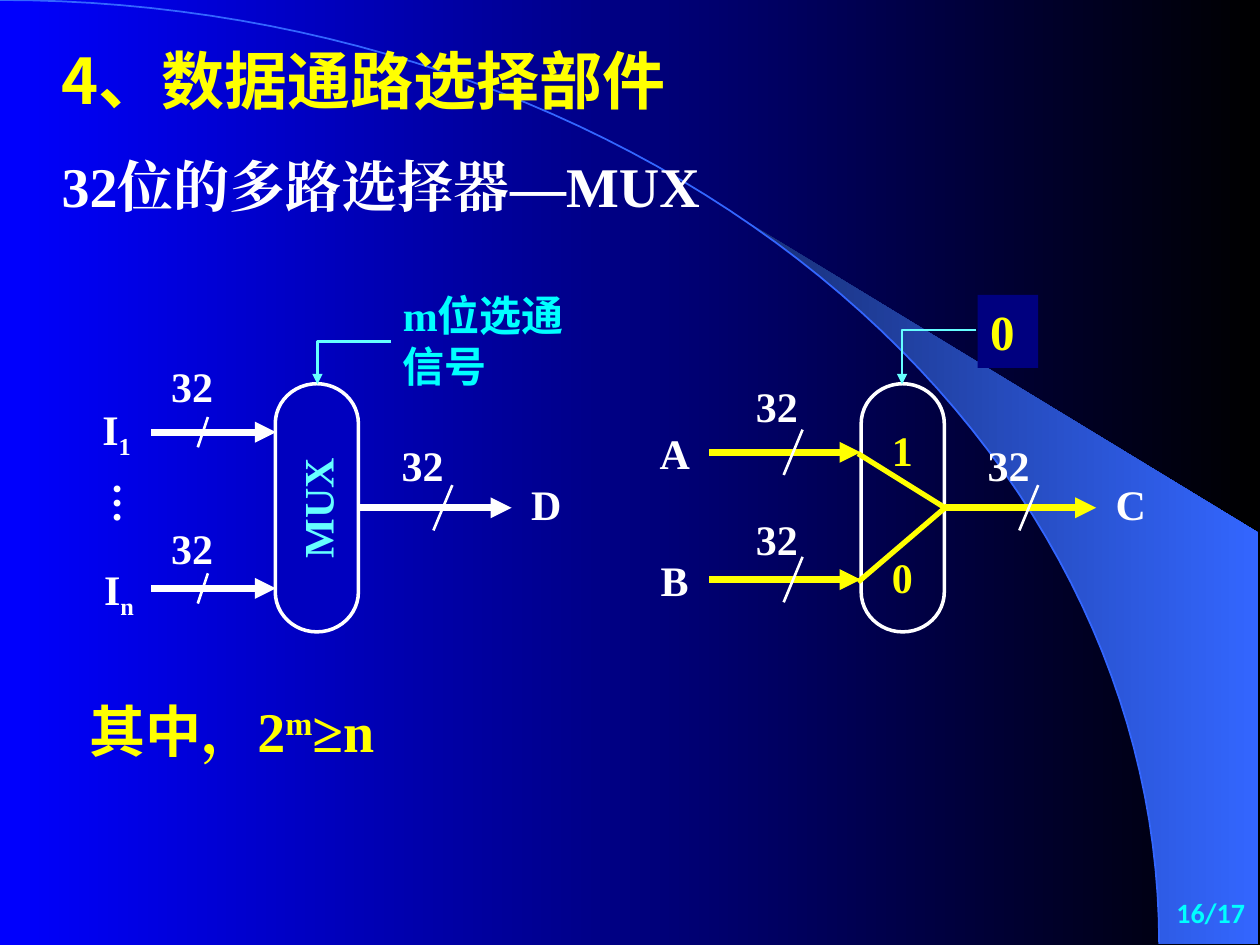
from math import asin, cos, pi, sin

from lxml.etree import SubElement
from pptx import Presentation
from pptx.dml.color import RGBColor
from pptx.enum.shapes import MSO_CONNECTOR, MSO_SHAPE
from pptx.enum.text import MSO_ANCHOR, MSO_AUTO_SIZE, PP_ALIGN
from pptx.oxml.ns import qn
from pptx.util import Inches, Pt

COLORS = {
    "blue": "0000FF", "black": "000000", "navy": "182F76", "sky": "3366FF",
    "body": "0000BF", "badge": "00007F", "white": "FFFFFF",
    "yellow": "FFFF00", "cyan": "00FFFF", "aqua": "66FFFF",
}
RGB = {name: RGBColor.from_string(value) for name, value in COLORS.items()}
SERIF, SANS = "Times New Roman", "Noto Sans CJK SC"
LEFT, CENTER, RIGHT = PP_ALIGN.LEFT, PP_ALIGN.CENTER, PP_ALIGN.RIGHT


def write(shape, lines, color="white", size=24, align=CENTER, font=SERIF, gap=0,
          anchor=MSO_ANCHOR.TOP, wrap=True):
    frame = shape.text_frame
    frame_format = {
        "auto_size": MSO_AUTO_SIZE.NONE, "word_wrap": wrap, "vertical_anchor": anchor,
        "margin_left": Inches(0.1), "margin_right": Inches(0.1),
        "margin_top": Inches(0.05), "margin_bottom": Inches(0.05),
    }
    for name, value in frame_format.items():
        setattr(frame, name, value)
    for index, runs in enumerate(lines):
        paragraph = frame.add_paragraph() if index else frame.paragraphs[0]
        paragraph.alignment = align
        paragraph.space_before = Pt(gap if index else 0)
        for text, *options in runs:
            run = paragraph.add_run()
            run.text = text
            typeface = options[0] if options else font
            for name, value in {"name": typeface, "size": Pt(size), "bold": True}.items():
                setattr(run.font, name, value)
            run.font.color.rgb = RGB[color]
            properties = run.font._element
            SubElement(properties, qn("a:ea"), typeface=typeface)
            if len(options) > 1:
                properties.set("baseline", str(options[1] * 1000))


def draw_line(start, end, color, width, arrow=False, bent=False):
    kind = MSO_CONNECTOR.ELBOW if bent else MSO_CONNECTOR.STRAIGHT
    line = shapes.add_connector(kind, *map(Inches, start + end))
    line.line.color.rgb = RGB[color]
    line.line.width = Pt(width)
    properties = line._element.spPr
    if bent:
        properties.find(qn("a:prstGeom")).set("prst", "bentConnector2")
    if arrow:
        SubElement(line.line._get_or_add_ln(), qn("a:tailEnd"), type="triangle")
    SubElement(properties, qn("a:effectLst"))


presentation = Presentation()
presentation.slide_width, presentation.slide_height = Inches(10), Inches(7.5)
slide = presentation.slides.add_slide(presentation.slide_layouts[5])
shapes = slide.shapes

arc_width, arc_height, steps = 9.2, 7.49, 60
arcs = []
for first_angle in (0, asin(5.89 / arc_width)):
    angles = [first_angle + (pi / 2 - first_angle) * i / steps for i in range(steps + 1)]
    arcs.append([(arc_width * sin(a), arc_height * (1 - cos(a))) for a in angles])
horizon, edge = arcs
beam = edge + [(9.99, 7.49), (9.99, 4.23)]
outlines = []
for points, closed in ((beam, True), (horizon, False)):
    corners = [(Inches(x), Inches(y)) for x, y in points]
    builder = shapes.build_freeform(*corners[0])
    builder.add_line_segments(corners[1:], close=closed)
    outline = builder.convert_to_shape()
    outline.shadow.inherit = False
    outlines.append(outline)
glow, curve = outlines
glow.line.fill.background()
curve.fill.background()
curve.line.color.rgb = RGB["sky"]
curve.line.width = Pt(1)

for fill, stops in ((slide.background.fill, ("blue", "black")), (glow.fill, ("navy", "sky"))):
    fill.gradient()
    fill.gradient_angle = 0
    for stop, color in zip(fill.gradient_stops, stops):
        stop.color.rgb = RGB[color]

title = shapes.title
title.element.getparent().append(title.element)
title_place = {"left": 0.39, "top": 0.28, "width": 5.35, "height": 0.7}
for name, value in title_place.items():
    setattr(title, name, Inches(value))
write(title, [[("4、数据通路选择部件",)]], "yellow", 36, LEFT, SANS)

selectors = []
for left in (1.53, 6.18):
    selector = shapes.add_shape(MSO_SHAPE.FLOWCHART_TERMINATOR, Inches(left), Inches(3.7),
                                Inches(1.97), Inches(0.66))
    selector.rotation = 270
    selector.shadow.inherit = False
    selector.fill.background()
    selector.line.color.rgb = RGB["white"]
    selector.line.width = Pt(2)
    selectors.append(selector)
selectors[0].fill.solid()
selectors[0].fill.fore_color.rgb = RGB["body"]
write(selectors[0], [[("MUX",)]], "aqua", anchor=MSO_ANCHOR.MIDDLE)

for start_y in (3.6, 4.62):
    draw_line((6.81, start_y), (7.5, 4.03), "yellow", 3)

buses = [
    ([("I",), ("1", SERIF, -25)], 0.65, 3.15, 1.2, 2.19, 3.43, "white", 1.65, 0.08, 0.12, 1.12, 2.81),
    ([("I",), ("n", SERIF, -25)], 0.67, 4.42, 1.2, 2.19, 4.67, "white", 1.65, 0.08, 0.12, 1.12, 4.1),
    ([("D",)], 4.06, 3.75, 2.85, 4.06, 4.03, "white", 3.59, 0.15, 0.18, 2.95, 3.44),
    ([("A",)], 5.08, 3.34, 5.63, 6.83, 3.59, "yellow", 6.37, 0.15, 0.18, 5.76, 2.97),
    ([("B",)], 5.08, 4.35, 5.63, 6.83, 4.6, "yellow", 6.37, 0.15, 0.18, 5.76, 4.03),
    ([("C",)], 8.7, 3.75, 7.5, 8.7, 4.03, "yellow", 8.24, 0.15, 0.18, 7.6, 3.44),
]
for (signal, signal_x, signal_y, start_x, end_x, y, color,
     slash_x, lean, rise, width_x, width_y) in buses:
    draw_line((start_x, y), (end_x, y), color, 4, arrow=True)
    draw_line((slash_x, y - rise), (slash_x - lean, y + rise), "white", 1.5)
    for runs, left, top, width in ((signal, signal_x, signal_y, 0.55),
                                   ([("32",)], width_x, width_y, 0.81)):
        write(shapes.add_textbox(*map(Inches, (left, top, width, 0.51))), [runs])

for start, end in (((3.1, 2.71), (2.52, 3.05)), ((7.75, 2.62), (7.16, 3.05))):
    draw_line(start, end, "aqua", 1.5, arrow=True, bent=True)

select_value = shapes.add_shape(MSO_SHAPE.RECTANGLE, *map(Inches, (7.76, 2.34, 0.48, 0.58)))
select_value.shadow.inherit = False
select_value.fill.solid()
select_value.fill.fore_color.rgb = RGB["badge"]
select_value.line.fill.background()
write(select_value, [[("0",)]], "yellow", 28, LEFT)

captions = [
    ((0.39, 1.15, 6.93, 0.64), [[("32位的多路选择器—MUX",)]], {"size": 32, "align": LEFT}),
    ((3.1, 2.25, 1.66, 0.91), [[("m",), ("位选通信号", SANS)]], {"color": "cyan", "align": LEFT}),
    ((6.98, 3.32, 0.4, 1.5), [[("1",)], [("0",)]], {"color": "yellow", "align": LEFT, "gap": 44}),
    ((0.61, 5.48, 2.57, 0.64),
     [[("其中", SANS), ("，2",), ("m", SERIF, 30), ("≥n",)]],
     {"color": "yellow", "size": 32, "align": LEFT, "wrap": False}),
    ((7.9, 7.06, 2.08, 0.42), [[("16/17",)]],
     {"color": "cyan", "size": 16, "align": RIGHT, "font": "Calibri"}),
]
for place, lines, look in captions:
    write(shapes.add_textbox(*map(Inches, place)), lines, **look)

ellipsis = shapes.add_textbox(*map(Inches, (0.67, 3.73, 0.62, 0.51)))
write(ellipsis, [[("…",)]])
ellipsis.text_frame._txBody.bodyPr.set("vert", "eaVert")

presentation.save("out.pptx")
